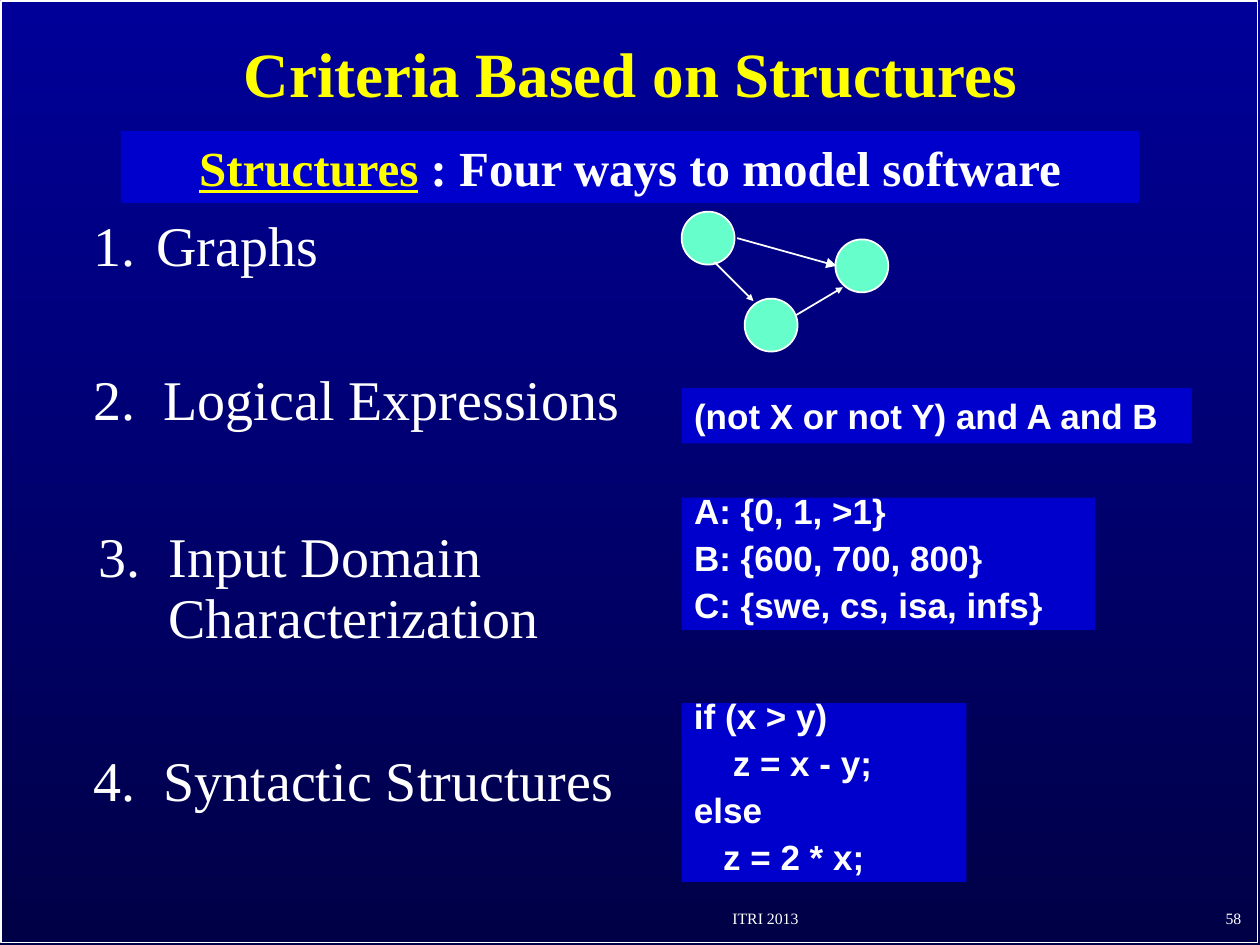
from lxml.etree import SubElement
from pptx import Presentation
from pptx.dml.color import RGBColor
from pptx.enum.shapes import MSO_CONNECTOR, MSO_SHAPE
from pptx.enum.text import MSO_ANCHOR, PP_ALIGN
from pptx.oxml.ns import qn
from pptx.util import Inches, Pt

WHITE = RGBColor(0xFF, 0xFF, 0xFF)
YELLOW = RGBColor(0xFF, 0xFF, 0x00)
BLUE = RGBColor(0x00, 0x00, 0xCC)
MINT = RGBColor(0x66, 0xFF, 0xCC)
TOP = RGBColor(0x00, 0x00, 0x99)
BASE = RGBColor(0x00, 0x00, 0x47)
SERIF, SANS = "Times New Roman", "Arial"

TITLE = "Criteria Based on Structures"
TERM, CLAIM = "Structures", " : Four ways to model software"
FOOTER, PAGE = "ITRI 2013", "58"

# text, left, top, height, hanging indent
WAYS = [
    ("Graphs", 0.64, 1.68, 0.64, 0.5),
    ("Logical Expressions", 0.64, 2.9, 0.81, 0.56),
    ("Input Domain Characterization", 0.68, 4.15, 1.05, 0.56),
    ("Syntactic Structures", 0.64, 5.93, 0.87, 0.56),
]

# lines, top, width, height, line spacing
SAMPLES = [
    (["(not X or not Y) and A and B"], 3.08, 4.05, 0.44, 1.0),
    (["A: {0, 1, >1}", "B: {600, 700, 800}", "C: {swe, cs, isa, infs}"],
     3.95, 3.28, 1.05, 0.6),
    (["if (x > y)", "    z = x - y;", "else", "   z = 2 * x;"],
     5.58, 2.26, 1.42, 0.6),
]
SAMPLE_LEFT = 5.41

NODES = [(5.41, 1.68), (6.63, 1.9), (5.91, 2.37)]
NODE = 0.42
# start, end, arrowhead size
EDGES = [
    ((5.85, 1.89), (6.64, 2.11), "med"),
    ((5.67, 2.08), (5.98, 2.39), "sm"),
    ((6.32, 2.5), (6.69, 2.28), "sm"),
]


def add_box(parent, kind, at, fill=None, line=None):
    box = parent.shapes.add_shape(kind, *map(Inches, at))
    box.shadow.inherit = False
    if fill is None:
        box.fill.background()
    else:
        box.fill.solid()
        box.fill.fore_color.rgb = fill
    if line is None:
        box.line.fill.background()
    else:
        box.line.color.rgb = line
        box.line.width = Pt(1)
    return box


def add_number(para, start, hang):
    """Give the paragraph an automatic number with a hanging indent."""
    props = para._p.get_or_add_pPr()
    props.set("marL", str(Inches(hang)))
    props.set("indent", str(-Inches(hang)))
    color = SubElement(props, qn("a:buClr"))
    SubElement(color, qn("a:srgbClr"), val=str(WHITE))
    SubElement(props, qn("a:buAutoNum"), type="arabicPeriod",
               startAt=str(start))


def write(shape, lines, size, font=SERIF, bold=False, color=WHITE,
          align=PP_ALIGN.LEFT, anchor=MSO_ANCHOR.TOP, spacing=1.0,
          before=0, number=None, wrap=True):
    """Fill a shape; a line is a string or a list of (text, color, underline)."""
    frame = shape.text_frame
    frame.word_wrap = wrap
    frame.vertical_anchor = anchor
    for i, line in enumerate(lines):
        para = frame.add_paragraph() if i else frame.paragraphs[0]
        if number:
            add_number(para, *number)
        para.alignment = align
        para.line_spacing = spacing
        para.space_before = Pt(before if i else 0)
        parts = [(line, color, False)] if isinstance(line, str) else line
        for text, tint, under in parts:
            run = para.add_run()
            run.text = text
            run.font.name = font
            run.font.size = Pt(size)
            run.font.bold = bold
            run.font.underline = under
            run.font.color.rgb = tint


def add_text(slide, at, lines, size, **style):
    write(slide.shapes.add_textbox(*map(Inches, at)), lines, size, **style)


def add_arrow(parent, start, end, head):
    arrow = parent.shapes.add_connector(
        MSO_CONNECTOR.STRAIGHT, *map(Inches, start + end))
    arrow.line.color.rgb = WHITE
    arrow.line.width = Pt(1)
    SubElement(arrow.line._get_or_add_ln(), qn("a:tailEnd"),
               type="triangle", w=head, len=head)
    SubElement(arrow._element.spPr, qn("a:effectLst"))


def main():
    deck = Presentation()
    deck.slide_width, deck.slide_height = Inches(10), Inches(7.5)
    slide = deck.slides.add_slide(deck.slide_layouts[6])

    back = slide.background.fill
    back.gradient()
    back.gradient_angle = 270
    for stop, color, place in zip(back.gradient_stops, (TOP, BASE), (0, 1)):
        stop.color.rgb = color
        stop.position = place

    add_box(slide, MSO_SHAPE.RECTANGLE, (0.01, 0.01, 9.97, 7.47), line=WHITE)
    add_text(slide, (0.1, 0.11, 9.81, 1), [TITLE], 36, bold=True,
             color=YELLOW, align=PP_ALIGN.CENTER, anchor=MSO_ANCHOR.MIDDLE,
             spacing=0.9)
    banner = add_box(slide, MSO_SHAPE.RECTANGLE, (0.96, 1.04, 8.08, 0.57),
                     fill=BLUE)
    write(banner, [[(TERM, YELLOW, True), (CLAIM, WHITE, False)]], 28,
          bold=True, align=PP_ALIGN.CENTER)

    for i, (text, left, top, height, hang) in enumerate(WAYS, 1):
        add_text(slide, (left, top, 4.39, height), [text], 32,
                 spacing=0.9, number=(i, hang))

    graph = slide.shapes.add_group_shape()
    for left, top in NODES:
        add_box(graph, MSO_SHAPE.OVAL, (left, top, NODE, NODE),
                fill=MINT, line=WHITE)
    for edge in EDGES:
        add_arrow(graph, *edge)

    for lines, top, width, height, spacing in SAMPLES:
        box = add_box(slide, MSO_SHAPE.RECTANGLE,
                      (SAMPLE_LEFT, top, width, height), fill=BLUE)
        write(box, lines, 20, font=SANS, bold=True, spacing=spacing,
              before=12.5)

    add_text(slide, (4.49, 7.13, 3.17, 0.28), [FOOTER], 9, wrap=False,
             align=PP_ALIGN.CENTER, anchor=MSO_ANCHOR.BOTTOM)
    add_text(slide, (7.87, 7.12, 2.08, 0.29), [PAGE], 9, wrap=False,
             align=PP_ALIGN.RIGHT, anchor=MSO_ANCHOR.BOTTOM)

    deck.save("out.pptx")


if __name__ == "__main__":
    main()
